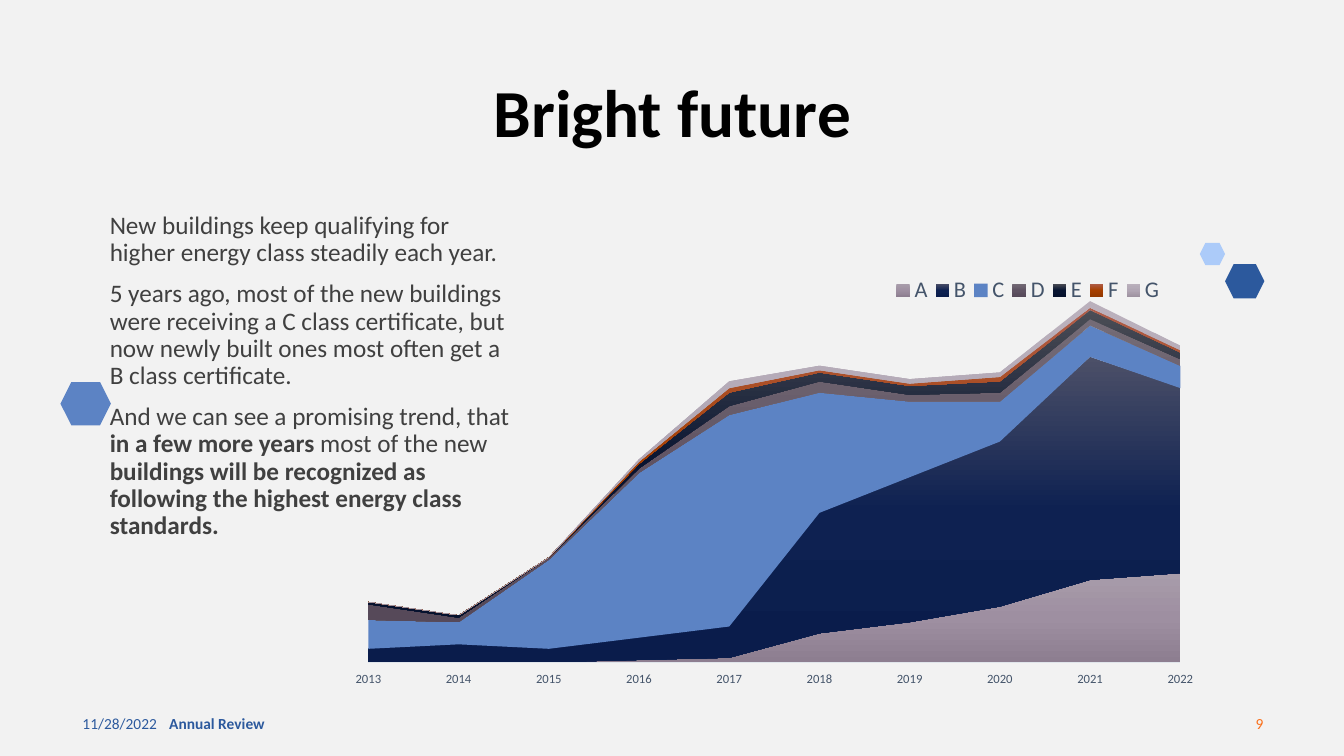
from dataclasses import dataclass

from pptx import Presentation
from pptx.chart.data import CategoryChartData
from pptx.dml.color import RGBColor
from pptx.enum.chart import XL_CHART_TYPE as ChartType
from pptx.enum.chart import XL_LEGEND_POSITION as LegendPosition
from pptx.enum.chart import XL_TICK_LABEL_POSITION as TickLabels
from pptx.enum.chart import XL_TICK_MARK as TickMark
from pptx.enum.shapes import MSO_SHAPE as Shape
from pptx.enum.text import MSO_ANCHOR as Anchor
from pptx.enum.text import PP_ALIGN as Align
from pptx.oxml import parse_xml
from pptx.oxml.ns import nsdecls, qn
from pptx.util import Inches, Pt


@dataclass(frozen=True)
class Theme:
    font: str = "Calibri"
    background: str = "F2F2F2"
    title: str = "000000"
    body: str = "404040"
    axis: str = "44546A"
    axis_line: str = "E0E5EB"
    navy: str = "2C599D"
    blue: str = "5C83C4"
    sky: str = "ACCBF9"
    orange: str = "FA6F1A"
    title_size: int = 48
    body_size: int = 18
    legend_size: int = 16
    footer_size: int = 11
    axis_size: int = 9
    chart_size: int = 10


THEME = Theme()

BODY = [
    [("New buildings keep qualifying for higher energy class steadily each year.", False)],
    [("5 years ago, most of the new buildings were receiving a C class certificate, "
      "but now newly built ones most often get a B class certificate.", False)],
    [("And we can see a promising trend, that ", False),
     ("in a few more years ", True),
     ("most of the new ", False),
     ("buildings will be recognized as following the highest energy class standards.", True)],
]

YEARS = [str(year) for year in range(2013, 2023)]
# Energy class, new buildings per year, fill colours from top to bottom
CLASSES = [
    ("A", [0, 0, 0, 1, 2, 13, 18, 25, 37, 40], ["A89CAA", "9E8FA1", "8D7E90"]),
    ("B", [6, 8, 6, 10, 14, 54, 65, 74, 100, 83], ["4C5068", "0E2151", "0A1C4B"]),
    ("C", [13, 10, 40, 74, 95, 54, 34, 18, 14, 10], [THEME.blue]),
    ("D", [7, 2, 1, 2, 4, 5, 3, 4, 3, 3], ["746B76", "605363", "564959"]),
    ("E", [1, 1, 0, 2, 6, 4, 4, 5, 4, 3], ["4B4D55", "081431", "06112D"]),
    ("F", [0, 0, None, 1, 2, 1, 1, 2, 1, 1], ["AF5E4B", "A63F00", "933800"]),
    ("G", [0, 0, 0, 1, 3, 2, 2, 2, 3, 2], ["BAB0BC", "B1A6B4", "9E92A0"]),
]


def rgb(color):
    return RGBColor.from_string(color)


def style_font(font, size, color, bold=None):
    font.name = THEME.font
    font.size = Pt(size)
    font.color.rgb = rgb(color)
    font.bold = bold


def add_text_frame(page, box, anchor):
    frame = page.shapes.add_textbox(*map(Inches, box)).text_frame
    frame.word_wrap = True
    frame.vertical_anchor = anchor
    return frame


def add_line(page, box, text, size, color, bold=False, align=Align.LEFT):
    """Place one line of text, centred vertically in its box."""
    para = add_text_frame(page, box, Anchor.MIDDLE).paragraphs[0]
    para.text = text
    para.alignment = align
    style_font(para.font, size, color, bold)


def add_footer(page, box):
    left, top, width, height = box
    size = THEME.footer_size
    add_line(page, (left, top, 3, height), "11/28/2022", size, THEME.navy)
    add_line(page, (left + 0.86, top, 4.5, height), "Annual Review", size, THEME.navy, bold=True)
    add_line(page, (left + width - 3, top, 3, height), "9", size, THEME.orange, align=Align.RIGHT)


def add_hexagon(page, box, color):
    hexagon = page.shapes.add_shape(Shape.HEXAGON, *map(Inches, box))
    hexagon.shadow.inherit = False
    hexagon.fill.solid()
    hexagon.fill.fore_color.rgb = rgb(color)
    hexagon.line.fill.background()


def add_body(page, box):
    frame = add_text_frame(page, box, Anchor.TOP)
    for index, spans in enumerate(BODY):
        para = frame.add_paragraph() if index else frame.paragraphs[0]
        para.line_spacing = 0.9
        para.space_before = Pt(10)
        style_font(para.font, THEME.body_size, THEME.body)
        for text, bold in spans:
            span = para.add_run()
            span.text = text
            span.font.bold = bold


def fill_series(series, colors):
    """Fill with one colour, or with evenly spaced stops from top to bottom."""
    fill = series.format.fill
    if len(colors) == 1:
        fill.solid()
        fill.fore_color.rgb = rgb(colors[0])
        return
    fill.gradient()
    fill.gradient_angle = 270
    step = 100000 // (len(colors) - 1)
    stops = "".join(f'<a:gs pos="{index * step}"><a:srgbClr val="{color}"/></a:gs>'
                    for index, color in enumerate(colors))
    old_stops = next(series._element.iter(qn("a:gsLst")))
    old_stops.getparent().replace(
        old_stops, parse_xml(f'<a:gsLst {nsdecls("a")}>{stops}</a:gsLst>'))


def set_layout(parent, position, fractions, inner=False):
    """Fix the place of a chart part, as fractions of the chart's size."""
    for old_layout in parent.findall(qn("c:layout")):
        parent.remove(old_layout)
    target = '<c:layoutTarget val="inner"/>' if inner else ""
    modes = '<c:xMode val="edge"/><c:yMode val="edge"/>'
    sizes = "".join(f'<c:{key} val="{value}"/>' for key, value in zip("xywh", fractions))
    parent.insert(position, parse_xml(
        f'<c:layout {nsdecls("c")}><c:manualLayout>{target}{modes}{sizes}'
        "</c:manualLayout></c:layout>"))


def add_class_chart(page, box):
    data = CategoryChartData()
    data.categories = YEARS
    for name, values, _ in CLASSES:
        data.add_series(name, values)
    chart = page.shapes.add_chart(ChartType.AREA_STACKED, *map(Inches, box), data).chart
    chart.has_title = False
    style_font(chart.font, THEME.chart_size, THEME.title)
    for series, (_, _, colors) in zip(chart.plots[0].series, CLASSES):
        fill_series(series, colors)

    years = chart.category_axis
    years.major_tick_mark = years.minor_tick_mark = TickMark.NONE
    years.tick_label_position = TickLabels.LOW
    years.has_major_gridlines = False
    years.format.line.color.rgb = rgb(THEME.axis_line)
    years.format.line.width = Pt(0.75)
    style_font(years.tick_labels.font, THEME.axis_size, THEME.axis)

    counts = chart.value_axis
    counts.minimum_scale, counts.maximum_scale = 0, 180
    counts.has_major_gridlines = False
    counts.visible = False
    for crossing in counts._element.iter(qn("c:crossBetween")):
        crossing.set("val", "midCat")

    chart.has_legend = True
    chart.legend.position = LegendPosition.BOTTOM
    chart.legend.include_in_layout = False
    style_font(chart.legend.font, THEME.legend_size, THEME.axis)
    set_layout(chart.legend._element, 1, (0.63, 0.06, 0.32, 0.07))
    plot_area = next(chart._chartSpace.iter(qn("c:plotArea")))
    set_layout(plot_area, 0, (0.034, 0.035, 0.931, 0.819), inner=True)


def build_future_slide(deck):
    page = deck.slides.add_slide(deck.slide_layouts[6])
    page.background.fill.solid()
    page.background.fill.fore_color.rgb = rgb(THEME.background)
    add_footer(page, (0.72, 6.98, 11.91, 0.4))
    add_hexagon(page, (0.6, 3.79, 0.5, 0.43), THEME.blue)
    add_hexagon(page, (12.15, 2.62, 0.39, 0.34), THEME.navy)
    add_hexagon(page, (11.9, 2.41, 0.25, 0.22), THEME.sky)
    add_line(page, (0.47, 0.71, 12.4, 0.77), "Bright future",
             THEME.title_size, THEME.title, bold=True, align=Align.CENTER)
    add_class_chart(page, (3.36, 2.42, 8.65, 4.86))
    add_body(page, (0.99, 2.06, 4.22, 3.19))


def main():
    deck = Presentation()
    deck.slide_width, deck.slide_height = Inches(13.33), Inches(7.5)
    build_future_slide(deck)
    deck.save("out.pptx")


if __name__ == "__main__":
    main()
